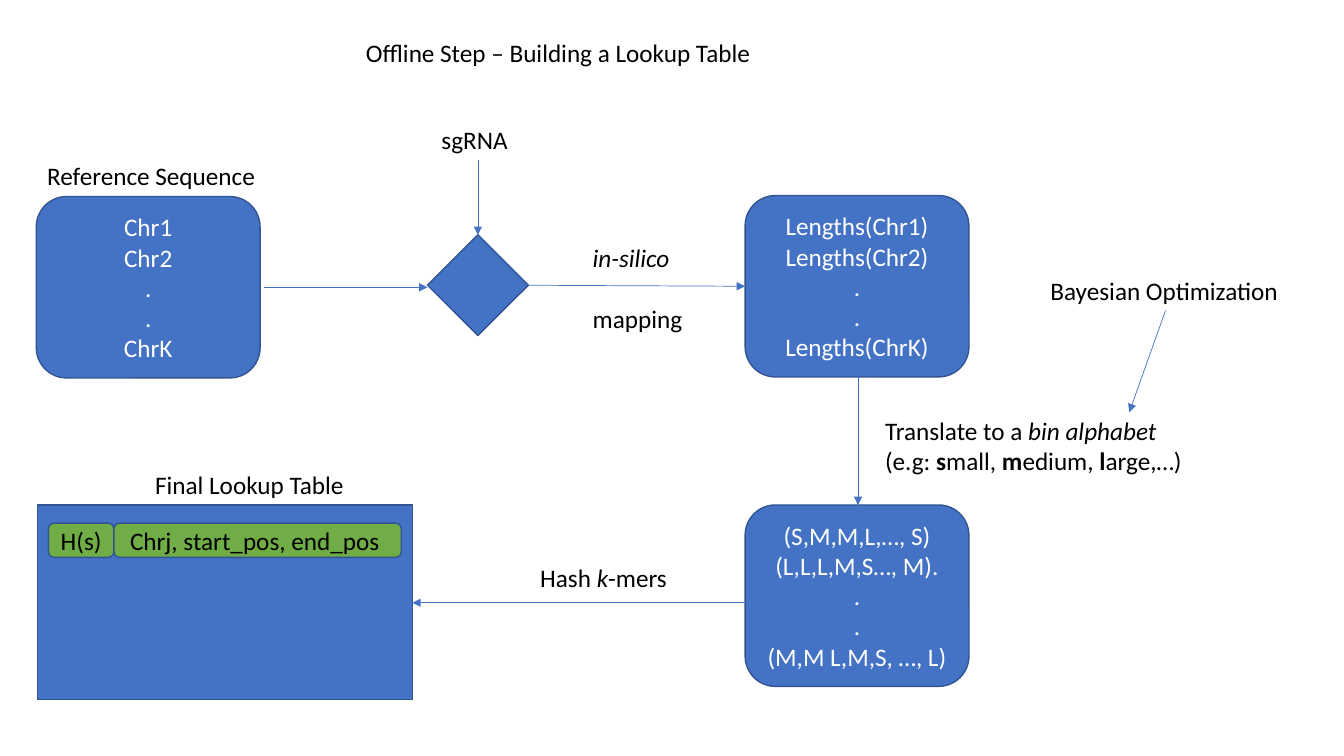
from lxml import etree
from pptx import Presentation
from pptx.dml.color import RGBColor
from pptx.enum.shapes import MSO_CONNECTOR, MSO_SHAPE
from pptx.enum.text import MSO_ANCHOR, MSO_AUTO_SIZE, PP_ALIGN
from pptx.oxml.ns import qn
from pptx.util import Inches, Pt

STRAIGHT = MSO_CONNECTOR.STRAIGHT
ROUNDED = MSO_SHAPE.ROUNDED_RECTANGLE
RECTANGLE = MSO_SHAPE.RECTANGLE
DIAMOND = MSO_SHAPE.DIAMOND
TOP, MIDDLE = MSO_ANCHOR.TOP, MSO_ANCHOR.MIDDLE
LEFT, CENTER = PP_ALIGN.LEFT, PP_ALIGN.CENTER
NO_AUTOFIT = MSO_AUTO_SIZE.NONE

BLUE, EDGE, GREEN = "4472C4", "325491", "70AD47"
BLACK, WHITE = "000000", "FFFFFF"
FONT = "Calibri"
TITLE_ONLY = 5
STAGE_WIDTH, STAGE_HEIGHT = 2.22, 1.8
STAGE_LEFT = 7.39
LOWER_TOP = 5.01


def color(hex_code):
    return RGBColor.from_string(hex_code)


def write(frame, lines, ink=BLACK, align=LEFT, anchor=TOP, wrap=False, gap=0):
    """Each line is a string or a list of (words, style); style holds "b" or "i"."""
    frame.auto_size = NO_AUTOFIT
    frame.word_wrap = wrap
    frame.vertical_anchor = anchor
    for index, line in enumerate(lines):
        paragraph = frame.add_paragraph() if index else frame.paragraphs[0]
        paragraph.alignment = align
        paragraph.space_before = Pt(gap if index else 0)
        for words, style in [(line, "")] if isinstance(line, str) else line:
            run = paragraph.add_run()
            run.text = words
            run.font.name = FONT
            run.font.size = Pt(18)
            run.font.bold = "b" in style
            run.font.italic = "i" in style
            run.font.color.rgb = color(ink)


def add_label(slide, left, top, width, height, lines, **text_format):
    label = slide.shapes.add_textbox(
        Inches(left), Inches(top), Inches(width), Inches(height))
    write(label.text_frame, lines, **text_format)


def add_box(slide, kind, left, top, width, height, fill=BLUE, lines=(), ink=WHITE):
    box = slide.shapes.add_shape(
        kind, Inches(left), Inches(top), Inches(width), Inches(height))
    box.shadow.inherit = False
    box.fill.solid()
    box.fill.fore_color.rgb = color(fill)
    box.line.color.rgb = color(EDGE)
    box.line.width = Pt(1)
    write(box.text_frame, lines, ink=ink, align=CENTER, anchor=MIDDLE, wrap=True)


def add_arrow(slide, start, end):
    arrow = slide.shapes.add_connector(
        STRAIGHT, *(Inches(value) for value in (*start, *end)))
    arrow.line.color.rgb = color(BLUE)
    arrow.line.width = Pt(0.5)
    properties = arrow._element.spPr
    etree.SubElement(properties.find(qn("a:ln")), qn("a:tailEnd"), type="triangle")
    etree.SubElement(properties, qn("a:effectLst"))


def add_title(slide, words):
    title = slide.shapes.title
    title.left, title.top = Inches(3.53), Inches(0.32)
    title.width, title.height = Inches(4.05), Inches(0.4)
    write(title.text_frame, [words])


def main():
    presentation = Presentation()
    presentation.slide_width = Inches(13.33)
    presentation.slide_height = Inches(7.5)
    slide = presentation.slides.add_slide(presentation.slide_layouts[TITLE_ONLY])
    add_title(slide, "Offline Step – Building a Lookup Table")

    stages = [
        (0.36, 1.95, ["Chr1", "Chr2", ".", ".", "ChrK"]),
        (STAGE_LEFT, 1.94,
         ["Lengths(Chr1)", "Lengths(Chr2)", ".", ".", "Lengths(ChrK)"]),
        (STAGE_LEFT, LOWER_TOP,
         ["(S,M,M,L,…, S)", "(L,L,L,M,S…, M).", ".", ".", "(M,M L,M,S, …, L)"]),
    ]
    for left, top, lines in stages:
        add_box(slide, ROUNDED, left, top, STAGE_WIDTH, STAGE_HEIGHT, lines=lines)
    add_box(slide, DIAMOND, 4.24, 2.33, 1, 1)

    add_box(slide, RECTANGLE, 0.37, LOWER_TOP, 3.72, 1.93)
    entry = [(0.48, 0.65, "H(s)"), (1.13, 2.85, "Chrj, start_pos, end_pos ")]
    for left, width, words in entry:
        add_box(slide, ROUNDED, left, 5.19, width, 0.34,
                fill=GREEN, lines=[words], ink=BLACK)

    arrows = [
        ((4.74, 1.59), (4.74, 2.33)),
        ((2.62, 2.85), (4.24, 2.85)),
        ((5.24, 2.83), (STAGE_LEFT, 2.84)),
        ((8.51, 3.74), (8.51, LOWER_TOP)),
        ((11.56, 3.08), (11.2, 4.09)),
        ((STAGE_LEFT, 5.98), (4.09, 5.98)),
    ]
    for start, end in arrows:
        add_arrow(slide, start, end)

    captions = [
        (0.37, 1.54, 2.29, "Reference Sequence"),
        (4.28, 1.18, 0.92, "sgRNA "),
        (10.32, 2.68, 2.48, "Bayesian Optimization"),
        (1.44, 4.61, 2.1, "Final Lookup Table"),
    ]
    for left, top, width, words in captions:
        add_label(slide, left, top, width, 0.4, [words])

    add_label(slide, 5.78, 2.35, 1.1, 1.01,
              [[("in-silico ", "i")], "mapping"], gap=22)
    add_label(slide, 8.68, 4.07, 3.2, 0.71, [
        [("Translate to a ", ""), ("bin alphabet", "i")],
        [("(e.g: ", ""), ("s", "b"), ("mall, ", ""), ("m", "b"),
         ("edium, ", ""), ("l", "b"), ("arge,…)", "")],
    ])
    add_label(slide, 5.26, 5.53, 1.47, 1.01,
              [[("Hash ", ""), ("k", "i"), ("-mers", "")]])

    presentation.save("out.pptx")


main()
